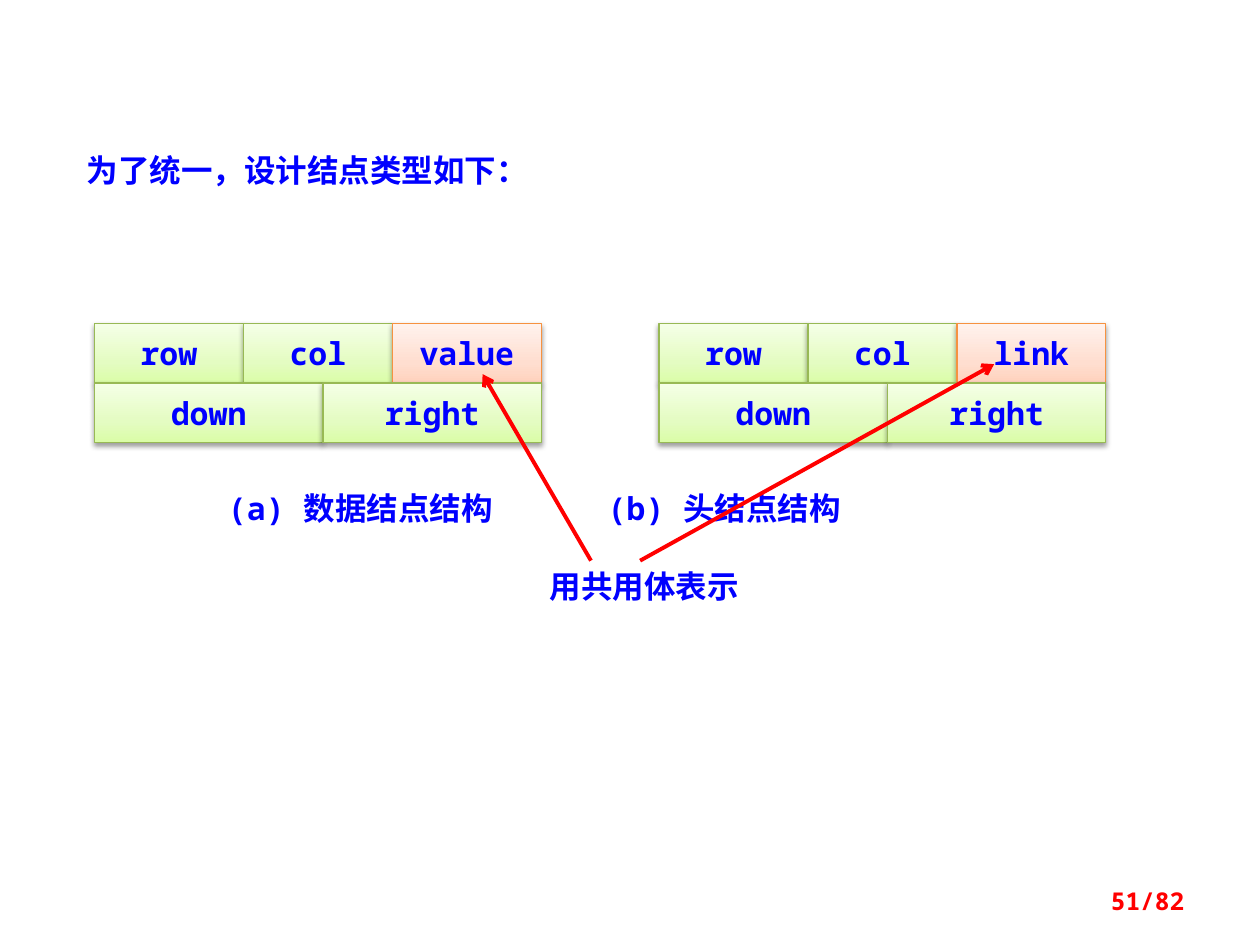
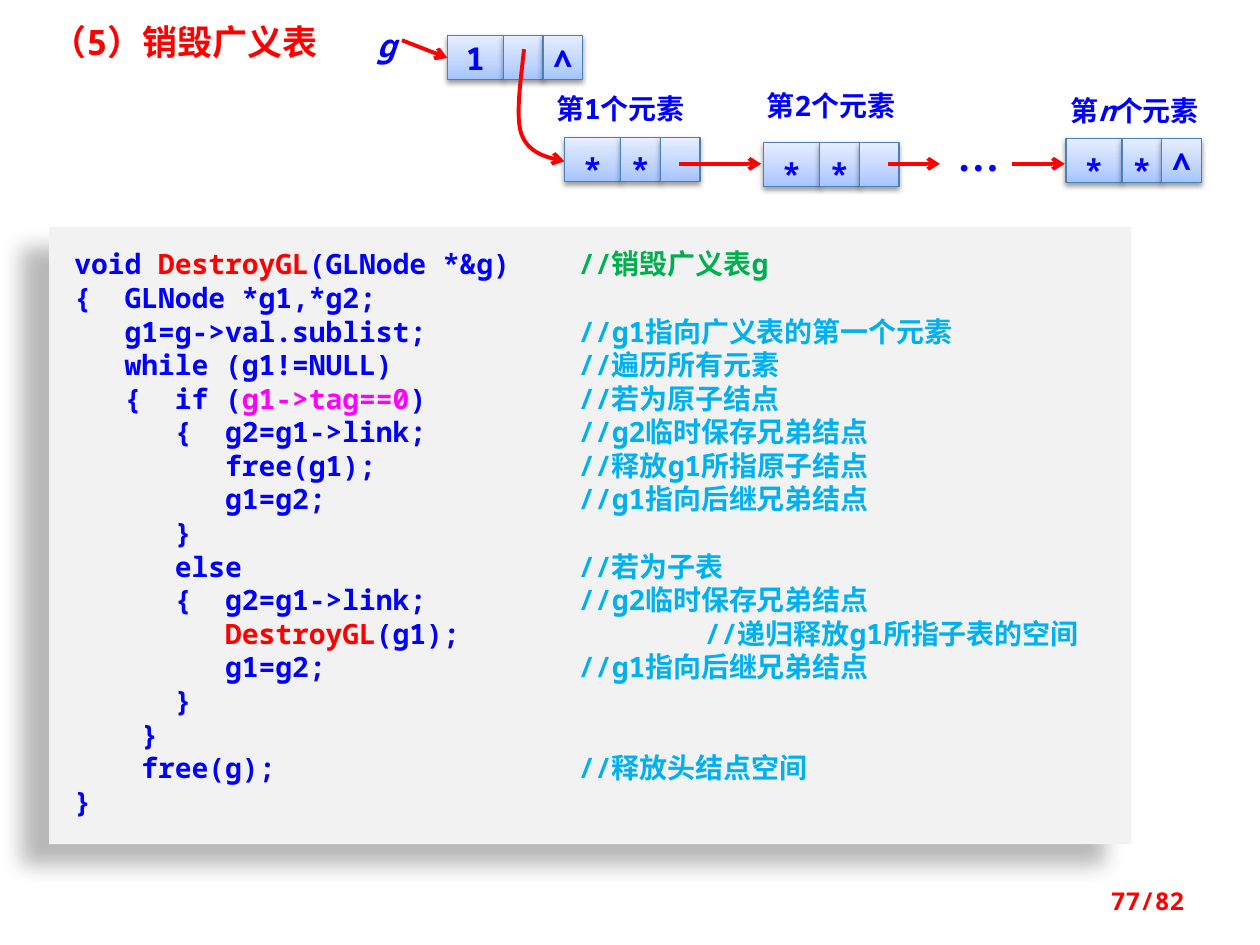
from pptx import Presentation
from pptx.dml.color import RGBColor
from pptx.enum.shapes import MSO_CONNECTOR, MSO_SHAPE
from pptx.enum.text import MSO_ANCHOR, MSO_AUTO_SIZE, PP_ALIGN
from pptx.oxml import parse_xml
from pptx.oxml.ns import nsdecls, qn
from pptx.util import Pt

BLUE, RED, GREEN, SKY, PINK = "0000FF", "FF0000", "00B050", "00B0F0", "FF00FF"
MONO, HAN, SERIF = "Noto Sans Mono", "Noto Sans CJK SC", "Times New Roman"
PALETTES = {
    "green": (("DAFDA7", "E4FCC2", "F5FFE7"), "98B955"),
    "orange": (("FFD2BD", "FFDED0", "FFF2ED"), "F69240"),
    "blue": (("A4C4FF", "BFD4FF", "E6EEFF"), "4B7EBC"),
}

STRUCTURE_TITLE = "为了统一，设计结点类型如下："
STRUCTURES = [(54, "value"), (376.6, "link")]
STRUCTURE_TOP, FIELD_WIDTH, FIELD_HEIGHT, DOWN_WIDTH = 185, 85.1, 33.9, 130.5
CAPTIONS = "(a) 数据结点结构\t(b) 头结点结构"
UNION_LABEL = "用共用体表示"
UNION_ARROWS = [((337.7, 320.4), (275.8, 213.8)), ((365.8, 320.4), (568.1, 208.1))]

DESTROY_TITLE = "（5）销毁广义表"
NODES = [
    (255.6, 20.2, ("1", "", "∧")),
    (322.6, 78.5, ("*", "*", "")),
    (609.1, 79.2, ("*", "*", "∧")),
    (436.3, 81.4, ("*", "*", "")),
]
NODE_WIDTHS, NODE_HEIGHT = (32, 22.7, 22.7), 25.2
ELEMENT_LABELS = [
    (300.2, 49, ["第1个元素"]),
    (420.5, 46.8, ["第2个元素"]),
    (594, 49.7, ["第", ("n", {"italic": True}), "个元素"]),
]
LIST_ARROWS = [
    ((229.7, 23), (255.6, 33.1)),
    ((388.1, 93.6), (434.9, 93.6)),
    ((507.6, 93.6), (537.1, 93.6)),
    ((578.2, 93.6), (608.4, 93.6)),
]
SUBLIST_CURVE = [
    ((299.5, 28.1), (297.4, 47.5), (294.5, 67), (298.1, 77)),
    ((298.1, 77), (302.4, 87.8), (312.5, 90), (322.6, 92.2)),
]
DESTROY_CALL = ("DestroyGL", {"color": RED})
COMMENT_TAB, FAR_TAB = 288, 360
CODE = [
    (["void ", DESTROY_CALL, "(GLNode *&g)"], "//销毁广义表g"),
    (["{  GLNode *g1,*g2;"], ""),
    (["   g1=g->val.sublist;"], "//g1指向广义表的第一个元素"),
    (["   while (g1!=NULL)"], "//遍历所有元素"),
    (["   {  if (", ("g1->tag==0", {"color": PINK}), ")"], "//若为原子结点"),
    (["      {  g2=g1->link;"], "//g2临时保存兄弟结点"),
    (["         free(g1);"], "//释放g1所指原子结点"),
    (["         g1=g2;"], "//g1指向后继兄弟结点"),
    (["      }"], ""),
    (["      else"], "//若为子表"),
    (["      {  g2=g1->link;"], "//g2临时保存兄弟结点"),
    (["         ", DESTROY_CALL, "(g1);"], "//递归释放g1所指子表的空间"),
    (["         g1=g2;"], "//g1指向后继兄弟结点"),
    (["      }"], ""),
    (["    }"], ""),
    (["    free(g);"], "//释放头结点空间"),
    (["}"], ""),
]


def rgb(color):
    return RGBColor.from_string(color)


def write(shape, lines, size=18, color=BLUE, font=MONO, han=HAN, align=PP_ALIGN.LEFT,
          anchor=MSO_ANCHOR.TOP, spacing=None, wrap=True, insets=(7.2, 3.6, 7.2, 3.6), tabs=()):
    frame = shape.text_frame
    frame.word_wrap = wrap
    frame.auto_size = MSO_AUTO_SIZE.NONE
    frame.vertical_anchor = anchor
    (frame.margin_left, frame.margin_top,
     frame.margin_right, frame.margin_bottom) = map(Pt, insets)
    for index, spans in enumerate(lines):
        para = frame.add_paragraph() if index else frame.paragraphs[0]
        if tabs:
            stop = f'<a:tab pos="{Pt(tabs[index])}" algn="l"/>'
            para._p.get_or_add_pPr().append(
                parse_xml(f'<a:tabLst {nsdecls("a")}>{stop}</a:tabLst>'))
        para.alignment = align
        if spacing:
            para.line_spacing = spacing
        for item in spans:
            text, style = (item, {}) if isinstance(item, str) else item
            span = para.add_run()
            span.text = text
            span.font.name = font
            span.font.size = Pt(size)
            span.font.bold = True
            span.font.italic = style.get("italic", False)
            span.font.color.rgb = rgb(style.get("color", color))
            east_asian = parse_xml(f'<a:ea {nsdecls("a")} typeface="{han}"/>')
            span._r.rPr.find(qn("a:latin")).addnext(east_asian)


def add_text(page, place, lines, **style):
    box = page.shapes.add_textbox(*map(Pt, place))
    write(box, lines, **style)


def add_box(page, place, shadow):
    box = page.shapes.add_shape(MSO_SHAPE.RECTANGLE, *map(Pt, place))
    box.shadow.inherit = False
    blur, distance, angle, opacity = shadow
    box._element.spPr.find(qn("a:effectLst")).append(parse_xml(
        f'<a:outerShdw {nsdecls("a")} blurRad="{Pt(blur)}" dist="{Pt(distance)}" '
        f'dir="{angle * 60000}" algn="ctr" rotWithShape="0"><a:srgbClr val="000000">'
        f'<a:alpha val="{opacity * 1000}"/></a:srgbClr></a:outerShdw>'))
    return box


def add_cell(page, place, text, palette, **style):
    box = add_box(page, place, (3.1, 1.6, 90, 38))
    colors, edge = PALETTES[palette]
    stops = "".join(f'<a:gs pos="{position}"><a:srgbClr val="{color}"/></a:gs>'
                    for position, color in zip((0, 35000, 100000), colors))
    box._element.spPr.find(qn("a:prstGeom")).addnext(parse_xml(
        f'<a:gradFill {nsdecls("a")}><a:gsLst>{stops}</a:gsLst>'
        '<a:lin ang="16200000" scaled="1"/></a:gradFill>'))
    box.line.color.rgb = rgb(edge)
    box.line.width = Pt(0.75)
    if text:
        write(box, [[text]], align=PP_ALIGN.CENTER, anchor=MSO_ANCHOR.MIDDLE, wrap=False, **style)


def style_arrow(line):
    line.color.rgb = rgb(RED)
    line.width = Pt(2.25)
    line._get_or_add_ln().append(parse_xml(f'<a:tailEnd {nsdecls("a")} type="arrow"/>'))


def add_arrow(page, start, end):
    arrow = page.shapes.add_connector(MSO_CONNECTOR.STRAIGHT, *map(Pt, start + end))
    style_arrow(arrow.line)
    arrow._element.spPr.append(parse_xml(f'<a:effectLst {nsdecls("a")}/>'))


def add_curve(page, segments, steps=12):
    points = []
    for segment in segments:
        for step in range(1, steps + 1):
            t = step / steps
            weights = ((1 - t) ** 3, 3 * t * (1 - t) ** 2, 3 * t * t * (1 - t), t ** 3)
            points.append(tuple(Pt(sum(w * point[axis] for w, point in zip(weights, segment)))
                                for axis in (0, 1)))
    builder = page.shapes.build_freeform(*map(Pt, segments[0][0]))
    builder.add_line_segments(points, close=False)
    curve = builder.convert_to_shape()
    curve.shadow.inherit = False
    curve.fill.background()
    style_arrow(curve.line)


def add_page(deck, title, place, number, **style):
    page = deck.slides.add_slide(deck.slide_layouts[5])
    heading = page.shapes.title
    heading.left, heading.top, heading.width, heading.height = map(Pt, place)
    write(heading, [[title]], **style)
    add_text(page, (516.2, 500.4, 167.8, 28.8), [[f"{number}/82"]], size=14, color=RED,
             align=PP_ALIGN.RIGHT, anchor=MSO_ANCHOR.MIDDLE)
    return page


def build_structures(deck):
    page = add_page(deck, STRUCTURE_TITLE, (42.5, 82.8, 396.7, 28.8), 51, font=HAN)
    add_text(page, (112.3, 275.8, 489.6, 28.8), [[CAPTIONS]],
             insets=(18, 3.6, 7.2, 3.6), tabs=[217])
    for left, last_field in STRUCTURES:
        rows = [
            [("row", FIELD_WIDTH), ("col", FIELD_WIDTH), (last_field, FIELD_WIDTH)],
            [("down", DOWN_WIDTH), ("right", 3 * FIELD_WIDTH - DOWN_WIDTH)],
        ]
        for index, row in enumerate(rows):
            x = left
            for name, width in row:
                place = (x, STRUCTURE_TOP + index * FIELD_HEIGHT, width, FIELD_HEIGHT)
                add_cell(page, place, name, "orange" if name == last_field else "green")
                x += width
    for start, end in UNION_ARROWS:
        add_arrow(page, start, end)
    add_text(page, (286.6, 320.4, 163.4, 28.8), [[UNION_LABEL]], font=HAN, align=PP_ALIGN.CENTER)


def build_destroy(deck):
    page = add_page(deck, DESTROY_TITLE, (22.3, 7.9, 191.5, 31.7), 77, size=20, color=RED)
    panel = add_box(page, (28.1, 129.6, 618.5, 352.8), (11.8, 19.7, 141, 28))
    panel.fill.solid()
    panel.fill.fore_color.rgb = rgb("F2F2F2")
    panel.line.fill.background()
    lines, tabs = [], []
    for index, (code, comment) in enumerate(CODE):
        color = SKY if index else GREEN
        lines.append(code + (["\t", (comment, {"color": color})] if comment else []))
        tabs.append(FAR_TAB if index and DESTROY_CALL in code else COMMENT_TAB)
    write(panel, lines, size=16, insets=(14.4, 11.5, 7.2, 11.5), tabs=tabs)

    for left, top, spans in ELEMENT_LABELS:
        add_text(page, (left, top, 108.7, 26.6), [spans], size=16, align=PP_ALIGN.CENTER)
    add_text(page, (208.1, 11.5, 32.4, 28.8), [[("g", {"italic": True})]])
    add_text(page, (540, 70.6, 27.4, 36), [["…"]], size=24, font=SERIF, han=SERIF)
    for left, top, marks in NODES:
        x = left
        for mark, width in zip(marks, NODE_WIDTHS):
            add_cell(page, (x, top, width, NODE_HEIGHT), mark, "blue",
                     spacing=1.5 if mark == "*" else None)
            x += width
    add_curve(page, SUBLIST_CURVE)
    for start, end in LIST_ARROWS:
        add_arrow(page, start, end)


def main():
    deck = Presentation()
    deck.slide_width, deck.slide_height = Pt(720), Pt(540)
    build_structures(deck)
    build_destroy(deck)
    deck.save("out.pptx")


if __name__ == "__main__":
    main()
